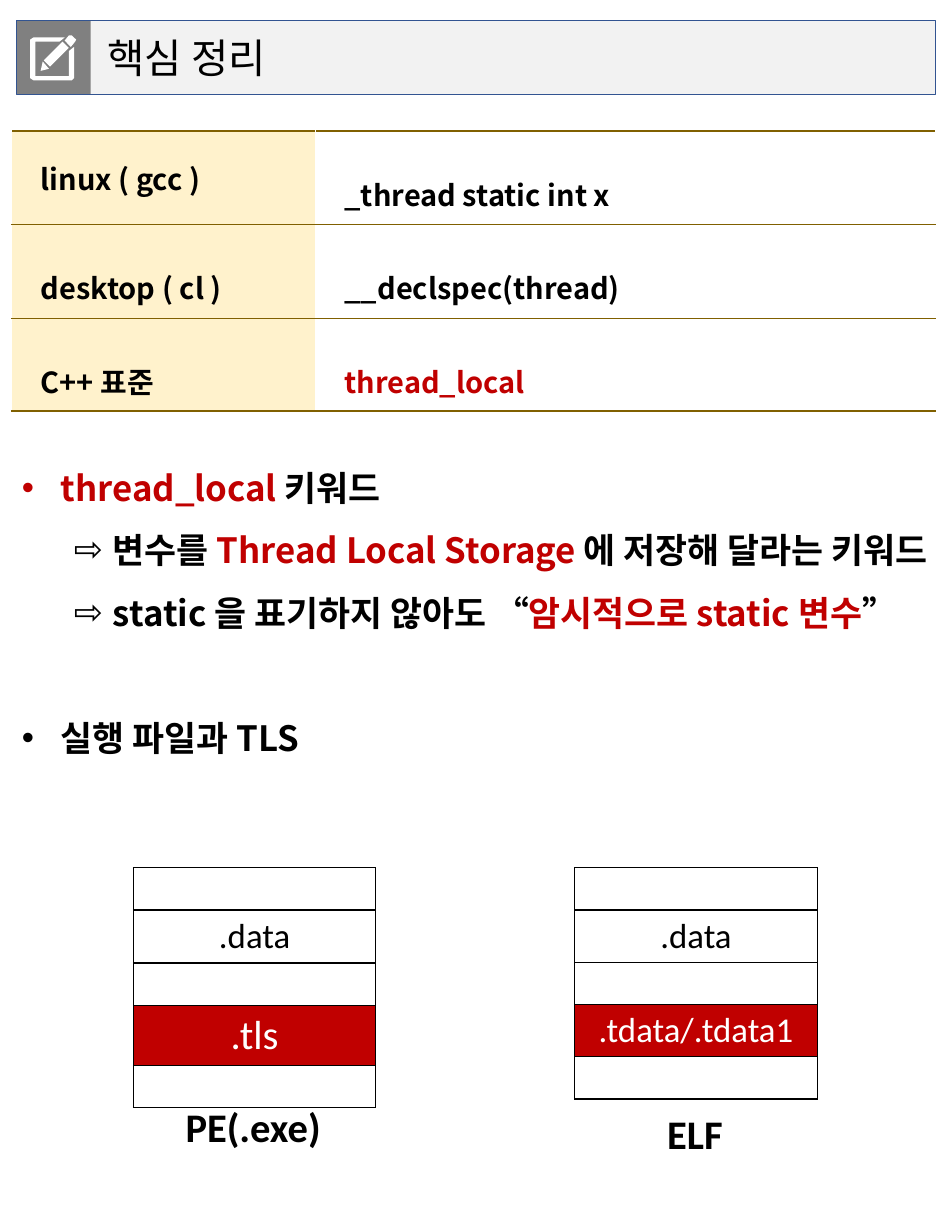
from lxml import etree
from pptx import Presentation
from pptx.dml.color import RGBColor
from pptx.enum.shapes import MSO_SHAPE
from pptx.enum.text import MSO_ANCHOR, MSO_AUTO_SIZE, PP_ALIGN
from pptx.oxml.ns import qn
from pptx.util import Cm, Pt

RECTANGLE = MSO_SHAPE.RECTANGLE
TOP, MIDDLE = MSO_ANCHOR.TOP, MSO_ANCHOR.MIDDLE
LEFT, CENTER = PP_ALIGN.LEFT, PP_ALIGN.CENTER
NO_FIT = MSO_AUTO_SIZE.NONE

KOREAN, LATIN = "Noto Sans CJK KR", "Calibri"
COLORS = {
    "black": "000000", "white": "FFFFFF", "red": "C00000", "gold": "806000",
    "cream": "FFF2CC", "light": "F2F2F2", "gray": "808080", "blue": "325491",
}

TITLE = "핵심 정리"
SYNTAX_ROWS = [
    ("linux ( gcc )", "_thread static int x", "black"),
    ("desktop ( cl )", "__declspec(thread)", "black"),
    ("C++ 표준", "thread_local", "red"),
]
POINTS = [
    (0, 0, [("thread_local ", "red"), ("키워드", "black")]),
    (1, 0, [("변수를 ", "black"), ("Thread Local Storage ", "red"),
            ("에 저장해 달라는 키워드", "black")]),
    (1, 0, [("static 을 표기하지 않아도 “", "black"),
            ("암시적으로 static 변수", "red"), ("”", "black")]),
    (0, 43, [("실행 파일과 TLS", "black")]),
]
BULLETS = [("•", 0.95, -0.95), ("⇨", 2.22, -0.95)]
SECTION_STACKS = [
    (3.25, ".tls", 28, 1.46, "PE(.exe)", (4.27, 26.7, 3.84, 1.45)),
    (14, ".tdata/.tdata1", 24, 1.27, "ELF", (16, 26.87, 1.88, 1.45)),
]
PEN_PARTS = [
    [(72, 40), (68, 45), (62, 39), (66, 34), (69, 34), (72, 37), (73, 38.5)],
    [(41, 59), (47, 66), (39, 68)],
    [(66, 46), (48, 64), (42, 58), (60, 40)],
    [(34, 40), (34, 73), (66, 73), (66, 49), (71, 45), (71, 75), (69, 77),
     (32, 77), (29, 75), (29, 38), (32, 36), (62, 36), (57, 40)],
]
HEADER = (0.41, 0.5, 22.38, 1.8)


def rgb(name):
    return RGBColor.from_string(COLORS[name])


def place(shape, left, top, width, height):
    shape.left, shape.top = Cm(left), Cm(top)
    shape.width, shape.height = Cm(width), Cm(height)


def set_margins(target, left, top, right, bottom):
    target.margin_left, target.margin_top = Cm(left), Cm(top)
    target.margin_right, target.margin_bottom = Cm(right), Cm(bottom)


def add_span(para, text, size, color="black", font=KOREAN, bold=False):
    span = para.add_run()
    span.text = text
    span.font.size, span.font.bold, span.font.name = Pt(size), bold, font
    span.font.color.rgb = rgb(color)
    latin = span.font._element.find(qn("a:latin"))
    east_asian = etree.Element(qn("a:ea"), typeface=font)
    latin.addnext(east_asian)


def add_bullet(para, mark, margin, indent):
    properties = para._p.get_or_add_pPr()
    properties.set("marL", str(Cm(margin)))
    properties.set("indent", str(Cm(indent)))
    etree.SubElement(properties, qn("a:buFont"), typeface="Arial")
    etree.SubElement(properties, qn("a:buChar"), char=mark)


def style_cell(cell, fill, borders):
    properties = cell._tc.get_or_add_tcPr()
    for side, (color, width) in zip("LRTB", borders):
        line = etree.SubElement(properties, qn("a:ln" + side), w=str(Pt(width)))
        solid = etree.SubElement(line, qn("a:solidFill"))
        etree.SubElement(solid, qn("a:srgbClr"), val=COLORS[color])
    if fill:
        cell.fill.solid()
        cell.fill.fore_color.rgb = rgb(fill)
    else:
        cell.fill.background()


def add_plain_table(page, left, top, widths, heights):
    frame = page.shapes.add_table(len(heights), len(widths), Cm(left), Cm(top),
                                  Cm(sum(widths)), Cm(sum(heights)))
    table = frame.table
    table.first_row = table.horz_banding = False
    for column, width in zip(table.columns, widths):
        column.width = Cm(width)
    for row, height in zip(table.rows, heights):
        row.height = Cm(height)
    return table


def add_header(page):
    title = page.shapes.title
    place(title, *HEADER)
    title.fill.solid()
    title.fill.fore_color.rgb = rgb("light")
    text = title.text_frame
    text.auto_size, text.vertical_anchor = NO_FIT, MIDDLE
    set_margins(text, 2.21, 0.13, 0.25, 0.13)
    text.paragraphs[0].alignment = LEFT
    add_span(text.paragraphs[0], TITLE, 28)

    left, top, width, height = HEADER
    tile = page.shapes.add_shape(RECTANGLE, Cm(left), Cm(top), Cm(height), Cm(height))
    tile.fill.solid()
    tile.fill.fore_color.rgb = rgb("gray")
    tile.line.fill.background()

    builder = page.shapes.build_freeform(*PEN_PARTS[0][0], scale=Cm(0.0254))
    for number, points in enumerate(PEN_PARTS):
        if number:
            builder.move_to(*points[0])
        builder.add_line_segments(points[1:], close=True)
    pen = builder.convert_to_shape()
    pen.fill.solid()
    pen.fill.fore_color.rgb = rgb("white")
    pen.line.fill.background()

    border = page.shapes.add_shape(RECTANGLE, *(Cm(value) for value in HEADER))
    border.fill.background()
    border.line.color.rgb, border.line.width = rgb("blue"), Pt(0.5)
    for shape in (tile, pen, border):
        shape.shadow.inherit = False


def add_points(page):
    body = page.placeholders[1]
    place(body, 0.03, 10.55, 23.14, 9.9)
    text = body.text_frame
    text.auto_size, text.vertical_anchor, text.word_wrap = NO_FIT, TOP, True
    set_margins(text, 0.5, 0.3, 0.25, 0.5)
    for number, (level, gap, spans) in enumerate(POINTS):
        para = text.add_paragraph() if number else text.paragraphs[0]
        para.level, para.line_spacing = level, 1.5
        para.space_before = Pt(gap)
        add_bullet(para, *BULLETS[level])
        for words, color in spans:
            add_span(para, words, 24, color, bold=True)


def add_syntax_table(page):
    table = add_plain_table(page, 0.28, 3.2, [7.4, 15.1], [2.27] * 3)
    last = len(SYNTAX_ROWS) - 1
    for row, (compiler, syntax, color) in enumerate(SYNTAX_ROWS):
        borders = [("white", 1), ("white", 1), ("gold", 0.5 if row else 1.5),
                   ("gold", 1.5 if row == last else 0.5)]
        parts = [(compiler, "black", "cream", MIDDLE), (syntax, color, None, TOP)]
        for column, (words, ink, fill, anchor) in enumerate(parts):
            cell = table.cell(row, column)
            style_cell(cell, fill, borders)
            set_margins(cell, 0.71, 0.5, 0.25, 0.5)
            cell.vertical_anchor = anchor
            para = cell.text_frame.paragraphs[0]
            if row or column:
                para.line_spacing = 1.5
            add_span(para, words, 20, ink, bold=True)


def add_section_stack(page, left, section, size, height, caption, caption_box):
    rows = [(1.03, None), (1.27, (".data", 24, "black")), (1.03, None),
            (height, (section, size, "white")), (1.03, None)]
    table = add_plain_table(page, left, 21.13, [5.9], [row[0] for row in rows])
    for number, (_, label) in enumerate(rows):
        cell = table.cell(number, 0)
        marked = label is not None and label[0] == section
        style_cell(cell, "red" if marked else None, [("black", 1)] * 4)
        if label:
            para = cell.text_frame.paragraphs[0]
            para.alignment = CENTER
            add_span(para, *label, font=LATIN)
    box = page.shapes.add_textbox(*(Cm(value) for value in caption_box))
    box.text_frame.word_wrap = False
    add_span(box.text_frame.paragraphs[0], caption, 28, font=LATIN, bold=True)


def main():
    deck = Presentation()
    deck.slide_width, deck.slide_height = Cm(23.16), Cm(30)
    page = deck.slides.add_slide(deck.slide_layouts[1])
    add_header(page)
    add_points(page)
    for stack in SECTION_STACKS:
        add_section_stack(page, *stack)
    add_syntax_table(page)
    deck.save("out.pptx")


if __name__ == "__main__":
    main()
